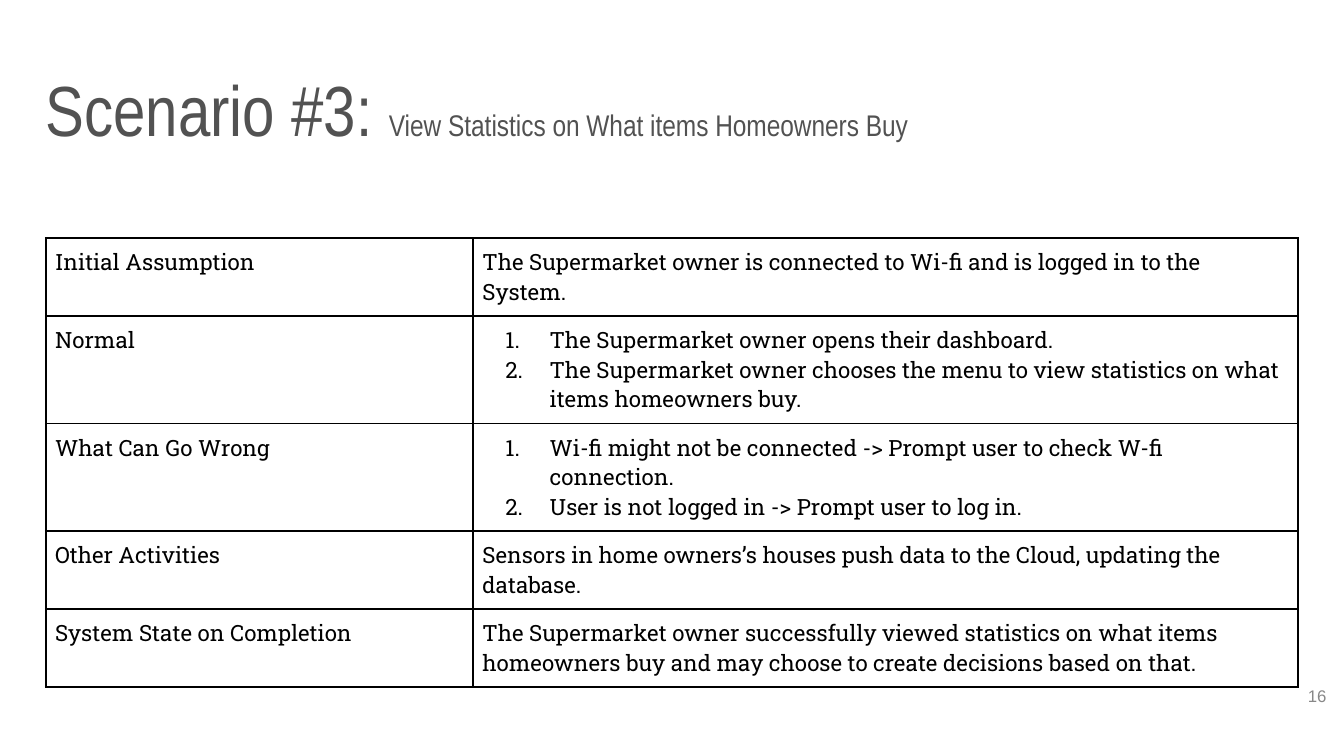
from dataclasses import dataclass

from lxml.etree import SubElement
from pptx import Presentation
from pptx.dml.color import RGBColor
from pptx.enum.text import MSO_ANCHOR as Anchor, MSO_AUTO_SIZE as AutoSize, PP_ALIGN as Align
from pptx.oxml.ns import qn
from pptx.util import Inches, Pt


@dataclass(frozen=True)
class Theme:
    title_color: str = "525252"
    text_color: str = "000000"
    number_color: str = "888888"
    title_font: str = "Arial Narrow"
    table_font: str = "Roboto Slab"
    number_font: str = "Arial"
    title_size: int = 38
    subtitle_size: int = 16
    table_size: int = 12
    number_size: int = 9
    border_width: int = 1
    cell_margin: float = 0.07
    line_height: float = 0.22


class SlideBuilder:
    def __init__(self, slide, theme):
        self.slide = slide
        self.theme = theme

    def add_run(self, paragraph, text, font, size, color):
        run = paragraph.add_run()
        run.text = text
        run.font.name = font
        run.font.size = Pt(size)
        run.font.color.rgb = RGBColor.from_string(color)

    def prepare_frame(self, frame, anchor):
        frame.margin_left = frame.margin_right = 0
        frame.margin_top = frame.margin_bottom = 0
        frame.word_wrap = True
        frame.auto_size = AutoSize.NONE
        frame.vertical_anchor = anchor

    def add_title(self, title, subtitle, left, top, width, height):
        theme = self.theme
        shape = self.slide.shapes.title
        shape.left, shape.top = Inches(left), Inches(top)
        shape.width, shape.height = Inches(width), Inches(height)
        self.prepare_frame(shape.text_frame, Anchor.BOTTOM)
        paragraph = shape.text_frame.paragraphs[0]
        paragraph.alignment = Align.LEFT
        for text, size in ((title, theme.title_size), (subtitle, theme.subtitle_size)):
            self.add_run(paragraph, text, theme.title_font, size, theme.title_color)

    def add_page_number(self, text, left, top, width, height):
        theme = self.theme
        box = self.slide.shapes.add_textbox(
            Inches(left), Inches(top), Inches(width), Inches(height))
        self.prepare_frame(box.text_frame, Anchor.TOP)
        paragraph = box.text_frame.paragraphs[0]
        paragraph.alignment = Align.RIGHT
        self.add_run(paragraph, text, theme.number_font, theme.number_size, theme.number_color)

    def add_table(self, rows, left, top, column_widths):
        """Each row is (label, content, line count); list content is numbered."""
        theme = self.theme
        heights = [2 * theme.cell_margin + theme.line_height * lines for *_, lines in rows]
        table = self.slide.shapes.add_table(
            len(rows), len(column_widths), Inches(left), Inches(top),
            Inches(sum(column_widths)), Inches(sum(heights))).table
        table.first_row = table.horz_banding = False
        for column, width in zip(table.columns, column_widths):
            column.width = Inches(width)
        for row, height, (label, content, _) in zip(table.rows, heights, rows):
            row.height = Inches(height)
            for cell, value in zip(row.cells, (label, content)):
                self.fill_cell(cell, value)

    def fill_cell(self, cell, content):
        theme = self.theme
        margin = Inches(theme.cell_margin)
        cell.margin_left = cell.margin_right = margin
        cell.margin_top = cell.margin_bottom = margin
        cell.vertical_anchor = Anchor.TOP
        self.draw_borders(cell)
        cell.fill.background()
        numbered = isinstance(content, list)
        frame = cell.text_frame
        for index, text in enumerate(content if numbered else [content]):
            paragraph = frame.add_paragraph() if index else frame.paragraphs[0]
            if numbered:
                self.number_paragraph(paragraph)
            self.add_run(paragraph, text, theme.table_font, theme.table_size, theme.text_color)

    def draw_borders(self, cell):
        properties = cell._tc.get_or_add_tcPr()
        for side in ("lnL", "lnR", "lnT", "lnB"):
            line = SubElement(properties, qn(f"a:{side}"), w=str(Pt(self.theme.border_width)))
            fill = SubElement(line, qn("a:solidFill"))
            SubElement(fill, qn("a:srgbClr"), val=self.theme.text_color)

    def number_paragraph(self, paragraph):
        properties = paragraph._p.get_or_add_pPr()
        properties.set("marL", str(Inches(0.5)))
        properties.set("indent", str(Inches(-0.33)))
        color = SubElement(properties, qn("a:buClr"))
        SubElement(color, qn("a:srgbClr"), val=self.theme.text_color)
        SubElement(properties, qn("a:buFont"), typeface=self.theme.table_font)
        SubElement(properties, qn("a:buAutoNum"), type="arabicPeriod")


SCENARIO_ROWS = [
    ("Initial Assumption",
     "The Supermarket owner is connected to Wi-fi and is logged in to the System.", 2),
    ("Normal",
     ["The Supermarket owner opens their dashboard.",
      "The Supermarket owner chooses the menu to view statistics on what items "
      "homeowners buy."], 3),
    ("What Can Go Wrong",
     ["Wi-fi might not be connected -> Prompt user to check W-fi connection.",
      "User is not logged in -> Prompt user to log in."], 3),
    ("Other Activities",
     "Sensors in home owners’s houses push data to the Cloud, updating the database.", 2),
    ("System State on Completion",
     "The Supermarket owner successfully viewed statistics on what items homeowners "
     "buy and may choose to create decisions based on that.", 2),
]


def main():
    presentation = Presentation()
    presentation.slide_width = Inches(10)
    presentation.slide_height = presentation.slide_width * 9 // 16
    title_only = presentation.slide_layouts[5]
    builder = SlideBuilder(presentation.slides.add_slide(title_only), Theme())
    builder.add_title("Scenario #3: ", "View Statistics on What items Homeowners Buy",
                      0.34, 0.49, 9.32, 0.63)
    builder.add_table(SCENARIO_ROWS, 0.34, 1.77, (3.18, 6.14))
    builder.add_page_number("16", 9.27, 5.1, 0.6, 0.43)
    presentation.save("out.pptx")


if __name__ == "__main__":
    main()
